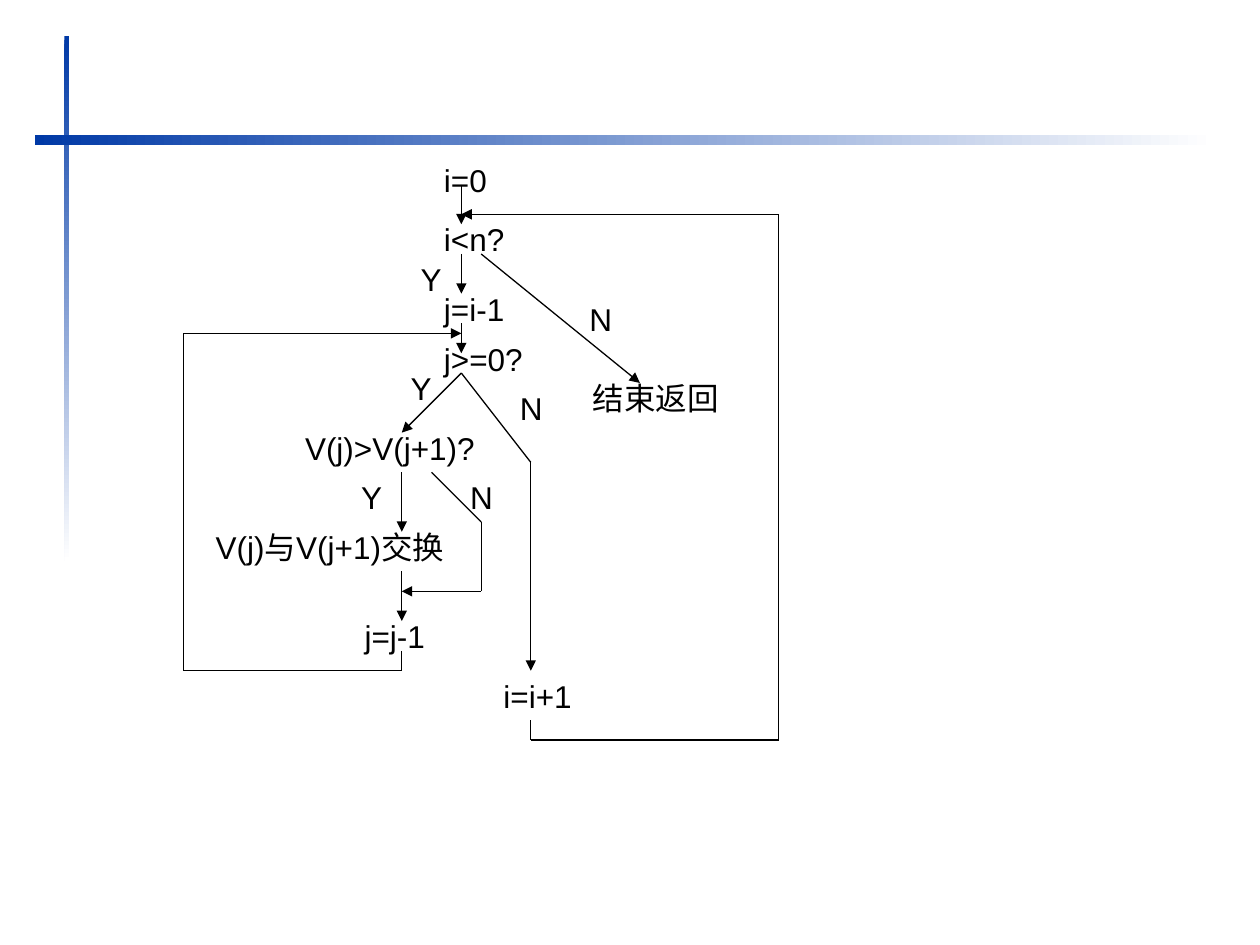
import itertools

import pptx
import pptx.dml.color
import pptx.enum.shapes
import pptx.enum.text
import pptx.util
from lxml import etree
from pptx.oxml.ns import qn

COLORS = {"ink": "000000", "bar": "0039A6", "fade": "FFFFFF"}
COLS, ROWS = 127, 95.25
ORIGIN_COL, ORIGIN_ROW = 0.5, 0.6
TEXT_H = 5
STEP_W = 19
LABEL_W = 4.7
LABEL_INDENT = 2.65

OUTER_X, INNER_X = 78, 18
MAIN_X, SWAP_X, NEXT_X, SKIP_X = 46, 40, 53, 48
STEP_X = 43
OUTER_JOIN_Y, INNER_JOIN_Y, SKIP_JOIN_Y = 21, 33, 59
INNER_TEST_Y, SWAP_TEST_Y = 37, 47
INNER_END_Y, OUTER_END_Y = 67, 74


def rgb(name):
    return pptx.dml.color.RGBColor.from_string(COLORS[name])


def write(tf, text, size=18, font="Arial", color="ink"):
    p = tf.paragraphs[0]
    p.alignment = pptx.enum.text.PP_ALIGN.LEFT
    r = p.add_run()
    r.text = text
    r.font.size = pptx.util.Pt(size)
    r.font.name = font
    r.font.color.rgb = rgb(color)


class Flowchart:
    line_width = pptx.util.Pt(0.75)

    def __init__(self, prs):
        self.s = prs.slides.add_slide(prs.slide_layouts[6])
        self.col = prs.slide_width / COLS
        self.row = prs.slide_height / ROWS

    def size(self, w, h):
        return round(w * self.col), round(h * self.row)

    def place(self, x, y):
        return self.size(x + ORIGIN_COL, y + ORIGIN_ROW)

    def bar(self, x, y, w, h, angle):
        sp = self.s.shapes.add_shape(
            pptx.enum.shapes.MSO_SHAPE.RECTANGLE, *self.place(x, y), *self.size(w, h))
        sp.shadow.inherit = False
        sp.line.fill.background()
        sp.fill.gradient()
        sp.fill.gradient_angle = angle
        for stop, name in zip(sp.fill.gradient_stops, ("bar", "fade")):
            stop.color.rgb = rgb(name)

    def text(self, text, x, y, w=STEP_W, h=TEXT_H, wrap=True):
        sp = self.s.shapes.add_textbox(*self.place(x, y), *self.size(w, h))
        tf = sp.text_frame
        tf.word_wrap = wrap
        tf.auto_size = pptx.enum.text.MSO_AUTO_SIZE.SHAPE_TO_FIT_TEXT
        write(tf, text)

    def label(self, text, x, y):
        self.text(text, x + LABEL_INDENT, y, w=LABEL_W, wrap=False)

    def route(self, *points):
        for start, end in itertools.pairwise(points):
            cn = self.s.shapes.add_connector(
                pptx.enum.shapes.MSO_CONNECTOR.STRAIGHT,
                *self.place(*start), *self.place(*end))
            cn.line.width = self.line_width
            cn.line.color.rgb = rgb("ink")
            sp_pr = cn.element.spPr
            if end == points[-1]:
                etree.SubElement(sp_pr.find(qn("a:ln")), qn("a:tailEnd"), type="triangle")
            etree.SubElement(sp_pr, qn("a:effectLst"))


def main():
    prs = pptx.Presentation()
    prs.slide_width = pptx.util.Inches(10)
    prs.slide_height = pptx.util.Inches(7.5)
    chart = Flowchart(prs)

    chart.bar(x=6, y=3, w=0.5, h=53, angle=270)
    chart.bar(x=3, y=13, w=119, h=1, angle=0)

    for text, y in (("i=0", 15), ("j=i-1", 28), ("j>=0?", 33)):
        chart.text(text, STEP_X, y)
    chart.text("V(j)>V(j+1)?", x=29, y=42, w=21)
    chart.text("V(j)与V(j+1)交换", x=20, y=52, w=26, h=9)
    chart.text("i<n?", STEP_X, OUTER_JOIN_Y, w=8.6, wrap=False)
    chart.text("j=j-1", x=35, y=61, w=8.6, wrap=False)
    chart.text("i=i+1", x=49, y=INNER_END_Y, w=9.4, wrap=False)
    chart.text("结束返回", x=58, y=37, w=15.2, wrap=False)

    for x, y in ((38, 25), (37, 36), (32, SWAP_TEST_Y)):
        chart.label("Y", x, y)
    for x, y in ((55, 29), (48, 38), (STEP_X, SWAP_TEST_Y)):
        chart.label("N", x, y)

    for top, bottom in ((18, 22), (25, 29), (32, 35)):
        chart.route((MAIN_X, top), (MAIN_X, bottom))
    for top, bottom in ((SWAP_TEST_Y, 53), (57, 62)):
        chart.route((SWAP_X, top), (SWAP_X, bottom))

    chart.route((MAIN_X, INNER_TEST_Y), (SWAP_X, 43))
    chart.route((MAIN_X, INNER_TEST_Y), (NEXT_X, 46), (NEXT_X, INNER_END_Y))
    chart.route((STEP_X, SWAP_TEST_Y), (SKIP_X, 52),
                (SKIP_X, SKIP_JOIN_Y), (SWAP_X, SKIP_JOIN_Y))
    chart.route((SWAP_X, 65), (SWAP_X, INNER_END_Y), (INNER_X, INNER_END_Y),
                (INNER_X, INNER_JOIN_Y), (MAIN_X, INNER_JOIN_Y))
    chart.route((SKIP_X, 25), (64, 38))
    chart.route((NEXT_X, 72), (NEXT_X, OUTER_END_Y), (OUTER_X, OUTER_END_Y),
                (OUTER_X, OUTER_JOIN_Y), (MAIN_X, OUTER_JOIN_Y))

    prs.save("out.pptx")


if __name__ == "__main__":
    main()
